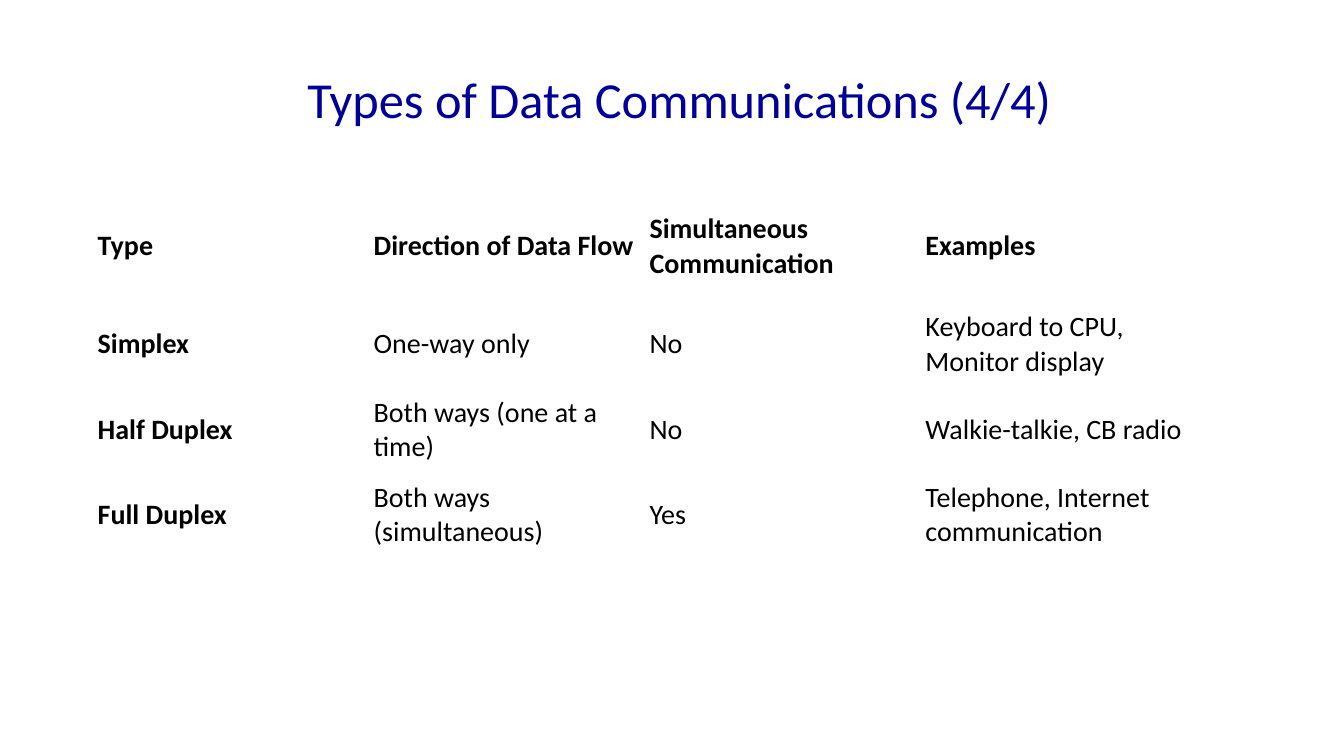
from pptx import Presentation
from pptx.dml.color import RGBColor
from pptx.enum.text import MSO_ANCHOR, PP_ALIGN
from pptx.util import Pt

TITLE = "Types of Data Communications (4/4)"
ROWS = [
    ("Type", "Direction of Data Flow", "Simultaneous Communication", "Examples"),
    ("Simplex", "One-way only", "No", "Keyboard to CPU, Monitor display"),
    ("Half Duplex", "Both ways (one at a time)", "No", "Walkie-talkie, CB radio"),
    ("Full Duplex", "Both ways (simultaneous)", "Yes",
     "Telephone, Internet communication"),
]
ROW_HEIGHTS = (70, 70, 39.6, 70)
COLUMN_WIDTH = 197.1
TABLE_LEFT, TABLE_TOP = 66.2, 141
TITLE_BOX = {"left": 36, "top": 39.6, "width": 898.6, "height": 62}
CELL_FORMAT = {
    "margin_left": Pt(3.6), "margin_right": Pt(3.6),
    "margin_top": Pt(1.44), "margin_bottom": Pt(1.44),
    "vertical_anchor": MSO_ANCHOR.MIDDLE,
}


def format_font(font, size, color, bold=False):
    for name, value in {"name": "Calibri", "size": Pt(size), "bold": bold}.items():
        setattr(font, name, value)
    font.color.rgb = RGBColor.from_string(color)


def add_title(page):
    title = page.shapes.title
    for name, value in TITLE_BOX.items():
        setattr(title, name, Pt(value))
    frame = title.text_frame
    frame.text = TITLE
    frame.word_wrap = True
    frame.vertical_anchor = MSO_ANCHOR.MIDDLE
    para = frame.paragraphs[0]
    para.alignment = PP_ALIGN.CENTER
    format_font(para.runs[0].font, 36, "000099")


def add_comparison_table(page):
    column_count = len(ROWS[0])
    table = page.shapes.add_table(
        len(ROWS), column_count, Pt(TABLE_LEFT), Pt(TABLE_TOP),
        Pt(COLUMN_WIDTH * column_count), Pt(sum(ROW_HEIGHTS))).table
    table.first_row = table.horz_banding = False
    for column in table.columns:
        column.width = Pt(COLUMN_WIDTH)
    for row, height in zip(table.rows, ROW_HEIGHTS):
        row.height = Pt(height)
    for row_index, texts in enumerate(ROWS):
        for column_index, text in enumerate(texts):
            cell = table.cell(row_index, column_index)
            for name, value in CELL_FORMAT.items():
                setattr(cell, name, value)
            cell.fill.background()
            cell.text = text
            is_heading = row_index == 0 or column_index == 0
            span = cell.text_frame.paragraphs[0].runs[0]
            format_font(span.font, 20, "000000", is_heading)


def main():
    deck = Presentation()
    deck.slide_width, deck.slide_height = Pt(960), Pt(540)
    page = deck.slides.add_slide(deck.slide_layouts[5])
    add_title(page)
    add_comparison_table(page)
    deck.save("out.pptx")


if __name__ == "__main__":
    main()
